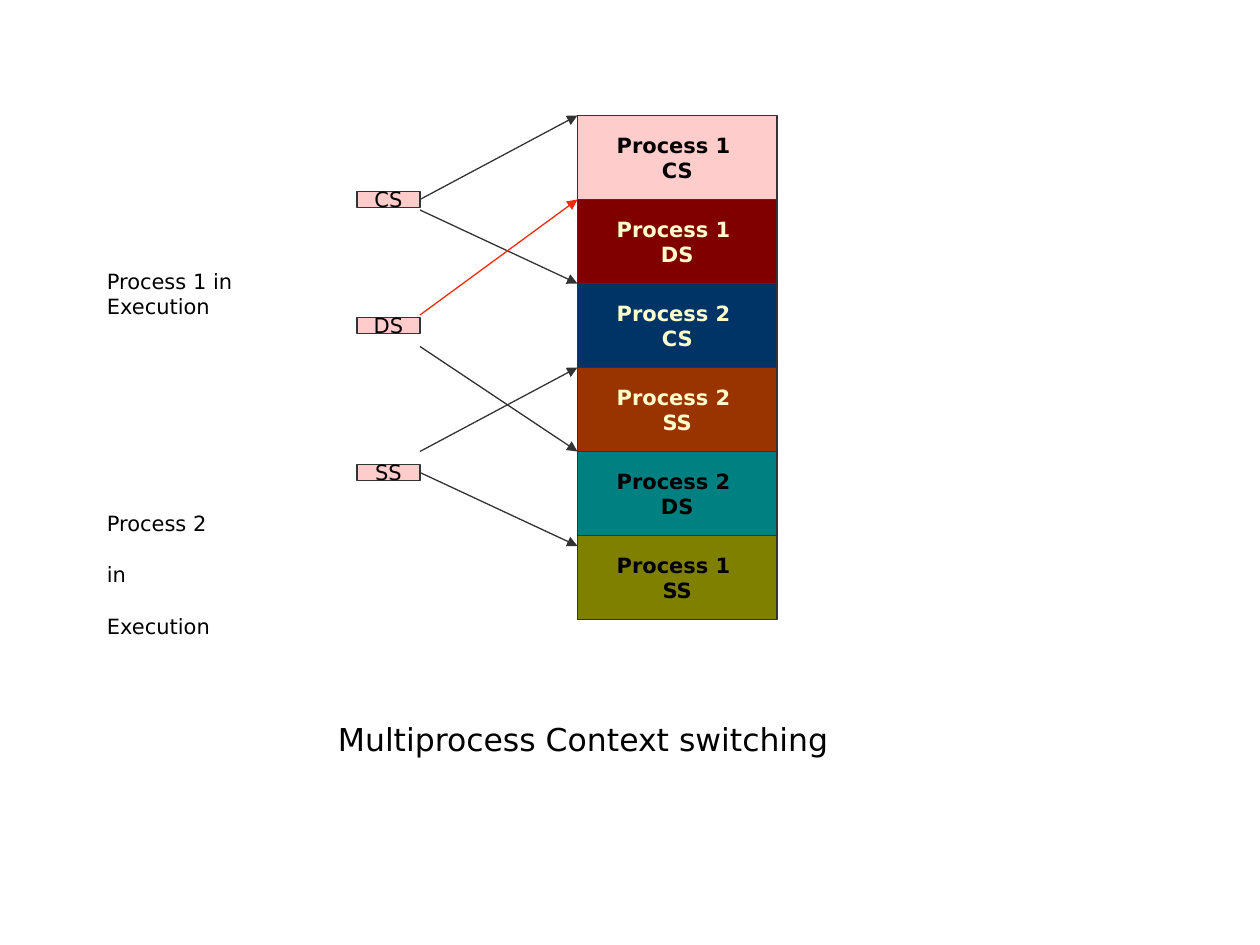
import pptx
import pptx.util
import pptx.dml.color
import pptx.enum.shapes
import pptx.enum.text
import pptx.oxml
import pptx.oxml.ns

HUES = {
    "ink": "000000", "cream": "FFFFCC", "edge": "333333", "alert": "F62A08",
    "pink": "FFCCCC", "maroon": "800000", "navy": "003366",
    "rust": "993300", "teal": "008080", "olive": "808000",
}
KINDS = pptx.enum.shapes
ALIGN = pptx.enum.text.PP_ALIGN
MIDDLE = pptx.enum.text.MSO_ANCHOR.MIDDLE


def unit(n):
    """Length of n grid cells, twelve to the inch."""
    return pptx.util.Inches(n / 12)


def hue(name):
    return pptx.dml.color.RGBColor.from_string(HUES[name])


class Board:
    """Holds the style and the current slide; lengths are grid cells."""
    font = "DejaVu Sans"
    edge = pptx.util.Pt(0.75)

    def __init__(self, slide):
        self.slide = slide

    def text(self, frame, lines, size=12, color="ink", bold=False,
             align=ALIGN.LEFT, gap=0):
        frame.word_wrap = True
        for i, line in enumerate(lines):
            para = frame.add_paragraph() if i else frame.paragraphs[0]
            para.alignment = align
            if i:
                para.space_before = pptx.util.Pt(gap)
            run = para.add_run()
            run.text = line
            run.font.name = self.font
            run.font.size = pptx.util.Pt(size)
            run.font.bold = bold
            run.font.color.rgb = hue(color)

    def label(self, x, y, w, h, lines, **style):
        box = self.slide.shapes.add_textbox(*map(unit, (x, y, w, h)))
        self.text(box.text_frame, lines, **style)

    def block(self, x, y, w, h, lines, fill, **style):
        box = self.slide.shapes.add_shape(
            KINDS.MSO_SHAPE.ROUNDED_RECTANGLE, *map(unit, (x, y, w, h)))
        box.adjustments[0] = 0
        box.shadow.inherit = False
        box.fill.solid()
        box.fill.fore_color.rgb = hue(fill)
        box.line.color.rgb = hue("edge")
        box.line.width = self.edge
        frame = box.text_frame
        frame.margin_top = frame.margin_bottom = 0
        frame.vertical_anchor = MIDDLE
        self.text(frame, lines, align=ALIGN.CENTER, **style)
        return box

    def arrow(self, x1, y1, x2, y2, color="edge", start=None):
        link = self.slide.shapes.add_connector(
            KINDS.MSO_CONNECTOR.STRAIGHT, *map(unit, (x1, y1, x2, y2)))
        if start is not None:
            link.begin_connect(start, 3)
        link.line.color.rgb = hue(color)
        link.line.width = self.edge
        names = pptx.oxml.ns.nsdecls("a")
        props = link.element.spPr
        props.find(pptx.oxml.ns.qn("a:ln")).append(
            pptx.oxml.parse_xml(f'<a:tailEnd {names} type="triangle"/>'))
        props.append(pptx.oxml.parse_xml(f"<a:effectLst {names}/>"))


def main():
    deck = pptx.Presentation()
    deck.slide_width = pptx.util.Inches(10)
    deck.slide_height = pptx.util.Inches(7.5)
    board = Board(deck.slides.add_slide(deck.slide_layouts[6]))

    board.label(31, 68, 64, 5, ["Multiprocess Context switching"], size=18)
    board.label(9, 25, 19, 6, ["Process 1 in Execution"])
    board.label(9, 48, 20, 13.5, ["Process 2", "in", "Execution"], gap=15)

    # Memory: six equal segments stacked without gaps
    left, top, wide, tall = 55, 11, 19, 8
    memory = [
        (1, "CS", "pink", "ink"), (1, "DS", "maroon", "cream"),
        (2, "CS", "navy", "cream"), (2, "SS", "rust", "cream"),
        (2, "DS", "teal", "ink"), (1, "SS", "olive", "ink"),
    ]
    for i, (number, part, fill, color) in enumerate(memory):
        board.block(left, top + i * tall, wide, tall,
                    [f"Process {number} ", part], fill, color=color, bold=True)

    # Segment registers, placed by their centre rows
    reg, width, height = 34, 6, 1.5
    tags = {name: board.block(reg, mid - height / 2, width, height, [name], "pink")
            for name, mid in (("CS", 19), ("DS", 31), ("SS", 45))}

    links = [
        (19, 11, "edge", tags["CS"]), (20, 27, "edge", None),
        (30, 19, "alert", None), (33, 43, "edge", None),
        (43, 35, "edge", None), (45, 52, "edge", tags["SS"]),
    ]
    for begin, end, color, start in links:
        board.arrow(reg + width, begin, left, end, color, start)

    deck.save("out.pptx")


if __name__ == "__main__":
    main()
